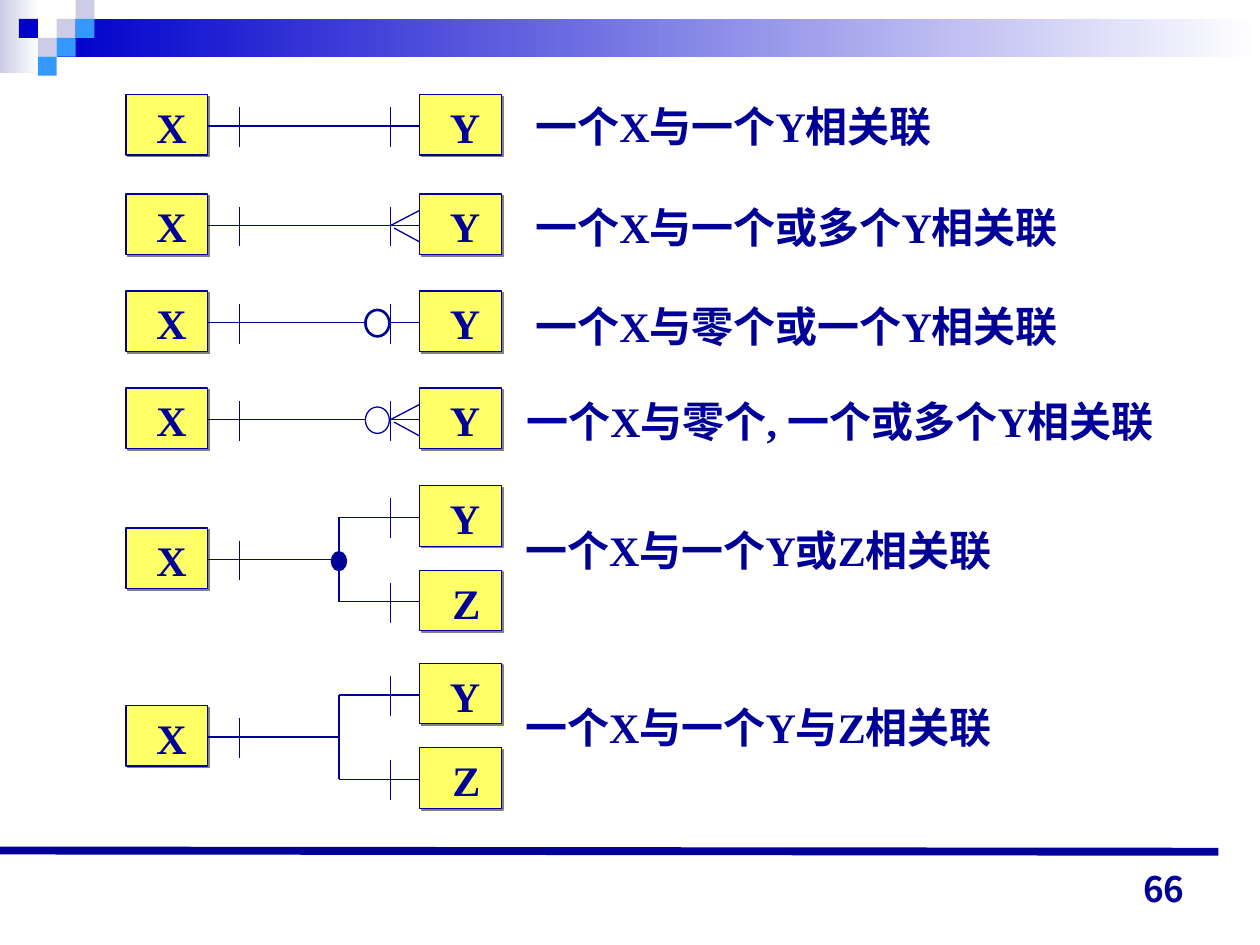
import pptx
import pptx.dml.color
import pptx.enum.shapes
import pptx.enum.text
import pptx.oxml.ns
import pptx.util
from lxml import etree

Pt = pptx.util.Pt
qn = pptx.oxml.ns.qn
SHAPES = pptx.enum.shapes.MSO_SHAPE
ALIGN = pptx.enum.text.PP_ALIGN
ANCHOR = pptx.enum.text.MSO_ANCHOR

COLORS = {
    "ink": "000099",
    "entity": "FFFF66",
    "shadow": "808080",
    "white": "FFFFFF",
    "pale": "CCCCE6",
    "sky": "3399FF",
    "blue": "0000CC",
}
LATIN_FONT = "Times New Roman"
CJK_FONT = "Noto Sans CJK JP"

ENTITY_WIDTH, ENTITY_HEIGHT = 46.8, 34.56
RIGHT_ENTITY = 167.76
AXIS = 18
LEFT_TICK, RIGHT_TICK = 64.8, 151.2
FORK = 121.68
BRANCH_OFFSET = 24.12


def rgb(name):
    return pptx.dml.color.RGBColor.from_string(COLORS[name])


def add_box(slide, kind, left, top, width, height, fill, line_width=0):
    shape = slide.shapes.add_shape(kind, Pt(left), Pt(top), Pt(width), Pt(height))
    shape.shadow.inherit = False
    shape.fill.solid()
    shape.fill.fore_color.rgb = rgb(fill)
    if line_width:
        shape.line.color.rgb = rgb("ink")
        shape.line.width = Pt(line_width)
    else:
        shape.line.fill.background()
    return shape


def add_fade(slide, left, top, width, height, start):
    shape = add_box(slide, SHAPES.RECTANGLE, left, top, width, height, start)
    shape.fill.gradient()
    shape.fill.gradient_angle = 0
    for stop, color in zip(shape.fill.gradient_stops, (start, "white")):
        stop.color.rgb = rgb(color)


def add_line(slide, x1, y1, x2, y2, width=0.75):
    line = slide.shapes.add_connector(
        pptx.enum.shapes.MSO_CONNECTOR.STRAIGHT, Pt(x1), Pt(y1), Pt(x2), Pt(y2))
    line.line.color.rgb = rgb("ink")
    line.line.width = Pt(width)
    etree.SubElement(line._element.spPr, qn("a:effectLst"))


def add_text(slide, left, top, width, text, size=24, font=LATIN_FONT, align=ALIGN.LEFT):
    box = slide.shapes.add_textbox(Pt(left), Pt(top), Pt(width), Pt(36))
    frame = box.text_frame
    frame.word_wrap = True
    paragraph = frame.paragraphs[0]
    paragraph.text = text
    paragraph.alignment = align
    paragraph.font.size = Pt(size)
    paragraph.font.bold = True
    paragraph.font.color.rgb = rgb("ink")
    paragraph.font.name = font
    etree.SubElement(paragraph.font._element, qn("a:ea"), typeface=CJK_FONT)
    return frame


def add_entity(slide, left, top, name):
    shape = add_box(slide, SHAPES.RECTANGLE, left, top,
                    ENTITY_WIDTH, ENTITY_HEIGHT, "entity", 0.75)
    effects = shape._element.spPr.find(qn("a:effectLst"))
    shadow = etree.SubElement(effects, qn("a:outerShdw"), blurRad="0",
                              dist=str(Pt(1.4)), dir="2700000", algn="ctr")
    etree.SubElement(shadow, qn("a:srgbClr"), val=COLORS["shadow"])
    add_text(slide, left + 10.08, top + 0.4, 31.68, name, align=ALIGN.RIGHT)


def add_tick(slide, x, top):
    add_line(slide, x, top + 7.2, x, top + 30)


def add_relation(slide, left, top, many, circle_line):
    right = left + RIGHT_ENTITY
    tick = left + RIGHT_TICK
    axis = top + AXIS
    add_entity(slide, left, top, "X")
    add_entity(slide, right, top, "Y")
    add_line(slide, left + ENTITY_WIDTH, axis, right, axis)
    add_tick(slide, left + LEFT_TICK, top)
    add_tick(slide, tick, top)
    if many:
        add_line(slide, tick, axis, right, axis - 8.64)
        add_line(slide, tick + 2, axis + 1.44, right, axis + 9.36)
    if circle_line:
        add_box(slide, SHAPES.OVAL, left + 136.8, top + 10.8, 13.68, 15.12,
                "white", circle_line)


def add_fork(slide, left, top, exclusive):
    fork = left + FORK
    axis = top + AXIS
    add_entity(slide, left, top, "X")
    add_line(slide, left + ENTITY_WIDTH, axis, fork, axis)
    add_tick(slide, left + LEFT_TICK, top)
    for name, offset in (("Y", -BRANCH_OFFSET), ("Z", BRANCH_OFFSET)):
        add_line(slide, fork, axis + offset, left + RIGHT_ENTITY, axis + offset)
        add_entity(slide, left + RIGHT_ENTITY, top + offset, name)
        add_tick(slide, left + RIGHT_TICK, top + offset)
    add_line(slide, fork, axis - BRANCH_OFFSET, fork, axis + BRANCH_OFFSET)
    if exclusive:
        add_box(slide, SHAPES.OVAL, fork - 4.32, axis - 4.4, 8.64, 10.8, "ink", 0.75)


def add_header(slide, left, top, width):
    cell = 10.8
    add_fade(slide, left, top, 22.32, 41.76, "pale")
    add_fade(slide, left + 3 * cell, top + cell, width - 3 * cell, 21.6, "blue")
    squares = ((3, 1, "pale"), (4, 0, "pale"), (4, 1, "sky"), (2, 2, "pale"),
               (1, 1, "blue"), (3, 2, "sky"), (2, 3, "sky"))
    for column, row, color in squares:
        add_box(slide, SHAPES.RECTANGLE, left + column * cell, top + row * cell,
                cell, cell, color)


def add_footer(slide, left, top, width):
    add_line(slide, left, top, left + width, top + 0.72, 4.5)
    frame = add_text(slide, left + 516.24, top + 1.44, 167.76, "66", 20, CJK_FONT, ALIGN.RIGHT)
    frame.vertical_anchor = ANCHOR.BOTTOM


def main():
    presentation = pptx.Presentation()
    presentation.slide_width, presentation.slide_height = Pt(720), Pt(540)
    slide = presentation.slides.add_slide(presentation.slide_layouts[6])
    add_header(slide, 0, 0, 720)
    add_footer(slide, 0, 486, 696.24)

    relations = (
        (54, False, 0, 298.8, 54, 275, "一个X与一个Y相关联"),
        (110.88, True, 0, 298.8, 111.6, 350, "一个X与一个或多个Y相关联"),
        (166.32, False, 1.5, 298.8, 168, 350, "一个X与零个或一个Y相关联"),
        (221.76, True, 0.75, 293.76, 222.48, 415, "一个X与零个, 一个或多个Y相关联"),
    )
    for top, many, circle_line, text_left, text_top, text_width, text in relations:
        add_relation(slide, 72, top, many, circle_line)
        add_text(slide, text_left, text_top, text_width, text)

    forks = ((301.68, True, "一个X与一个Y或Z相关联"),
             (403.2, False, "一个X与一个Y与Z相关联"))
    for top, exclusive, text in forks:
        add_fork(slide, 72, top, exclusive)
        add_text(slide, 293.04, top - 5.76, 325, text)

    presentation.save("out.pptx")


if __name__ == "__main__":
    main()
